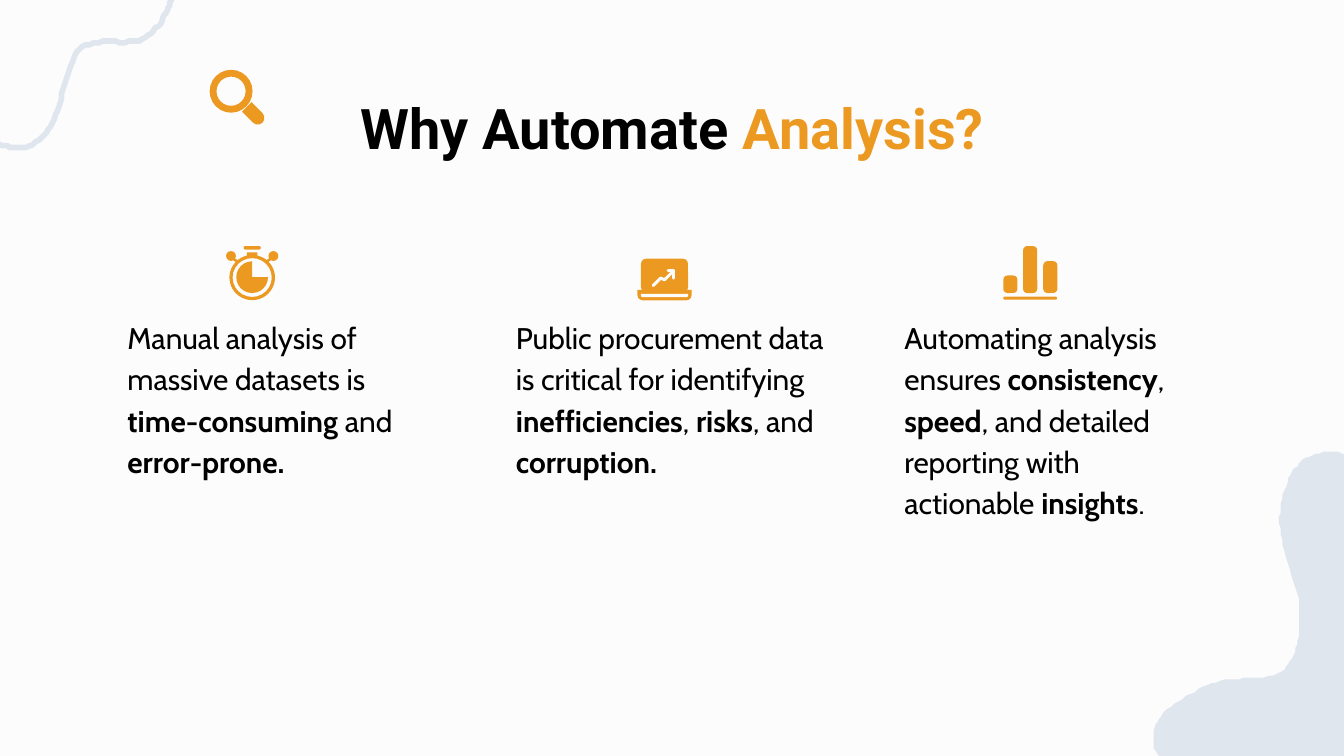
import pptx
import pptx.util
import pptx.dml.color
import pptx.enum.shapes
import pptx.enum.text
from pptx.oxml.ns import qn

Pt = pptx.util.Pt
RGBColor = pptx.dml.color.RGBColor
MSO = pptx.enum.shapes.MSO_SHAPE
ALIGN = pptx.enum.text.PP_ALIGN

PAPER = RGBColor(0xFD, 0xFC, 0xFD)
MIST = RGBColor(0xDF, 0xE6, 0xEE)
ORANGE = RGBColor(0xEB, 0x99, 0x21)
BLACK = RGBColor(0, 0, 0)

TITLE = [("Why Automate ", True, BLACK), ("Analysis?", True, ORANGE)]
COLUMNS = [
    [("Manual analysis of massive datasets is ", False), ("time-consuming", True),
     (" and ", False), ("error-prone.", True)],
    [("Public procurement data is critical for identifying ", False),
     ("inefficiencies", True), (", ", False), ("risks", True), (", and ", False),
     ("corruption.", True)],
    [("Automating analysis ensures ", False), ("consistency", True), (", ", False),
     ("speed", True), (", and detailed reporting with actionable ", False),
     ("insights", True), (".", False)],
]
COLUMN_LEFT, COLUMN_STEP = 61.2, 208.1

BLOB = [(630.7, 410.4),
        (616.3, 406.8), (616.3, 395.3), (619.2, 388.1),
        (622.1, 380.2), (637.2, 370.8), (648.7, 366.5),
        (659.5, 361.4), (679.7, 365.8), (687.6, 358.6),
        (695.5, 352.1), (696.2, 339.8), (696.2, 326.9),
        (695.5, 313.2), (684.7, 290.9), (685.4, 277.2),
        (686.2, 264.2), (691.2, 250.6), (698.4, 246.2),
        (705.6, 241.9), (720.7, 236.9), (727.9, 251.3),
        (735.8, 265.7), (740.9, 306.7), (743, 331.9),
        (744.5, 357.8), (745.2, 390.2), (738.7, 403.2),
        (732.2, 416.2), (722.2, 409), (704.2, 410.4),
        (686.2, 411.8), (644.4, 414), (630.7, 410.4)]
WAVE = [(-15.1, 61.9),
        (-9.4, 77.8), (0.7, 77.8), (7.9, 79.2),
        (15.1, 79.9), (21.6, 76.3), (27.4, 67.7),
        (33.1, 59), (34.6, 34.6), (42.5, 26.6),
        (51.1, 18.7), (68.4, 25.2), (76.3, 20.9),
        (85, 16.6), (90, 5.8), (91.4, 0.7),
        (92.2, -4.3), (93.6, -7.9), (83.5, -10.8),
        (74.2, -13), (51.1, -13.7), (33.1, -14.4),
        (15.1, -15.1), (-18, -27.4), (-25.9, -14.4),
        (-33.8, -1.4), (-20.9, 46.8), (-15.1, 61.9)]

ICONS = [
    (MSO.DONUT, 112.3, 37.4, 23, 23, 0.16, 0, ORANGE),
    (MSO.ROUND_2_SAME_RECTANGLE, 132.8, 55.5, 7.2, 12, 0.5, 135, ORANGE),
    (MSO.DONUT, 122.9, 136.6, 24.4, 24.2, 0.07, 0, ORANGE),
    (MSO.PIE, 126.6, 140, 17, 17, None, 0, ORANGE),
    (MSO.ROUNDED_RECTANGLE, 130.5, 131.8, 9.2, 1.9, 0.5, 0, ORANGE),
    (MSO.RECTANGLE, 132.3, 135.2, 5.6, 2, None, 0, ORANGE),
    (MSO.OVAL, 121.1, 134.5, 5.3, 5.3, None, 0, ORANGE),
    (MSO.OVAL, 143.8, 134.5, 5.3, 5.3, None, 0, ORANGE),
    (MSO.ROUNDED_RECTANGLE, 343.4, 138.6, 25.2, 18, 0.15, 0, ORANGE),
    (MSO.ROUND_2_SAME_RECTANGLE, 341.5, 155.3, 29, 5.6, 0.5, 180, ORANGE),
    (MSO.ROUND_2_SAME_RECTANGLE, 343.4, 157.4, 25.2, 1.8, 0.5, 180, PAPER),
    (MSO.ROUNDED_RECTANGLE, 537.5, 158.9, 28.8, 1.7, 0.5, 0, ORANGE),
    (MSO.ROUNDED_RECTANGLE, 537.5, 147.6, 7.6, 9.4, 0.3, 0, ORANGE),
    (MSO.ROUNDED_RECTANGLE, 548.1, 131.8, 7.6, 25.2, 0.3, 0, ORANGE),
    (MSO.ROUNDED_RECTANGLE, 558.9, 139.9, 7.6, 17.1, 0.3, 0, ORANGE),
]
STROKES = [
    ([(349.9, 152.6), (353.5, 148.7), (355.5, 150.5), (361, 145)], PAPER, 1.6),
    ([(357.6, 145), (361.3, 145), (361.3, 148.9)], PAPER, 1.6),
    ([(124.2, 137.5), (127.2, 140.3)], ORANGE, 1.4),
    ([(146, 137.5), (143, 140.3)], ORANGE, 1.4),
]


def curve(points, steps=16):
    out = [points[0]]
    for i in range(0, len(points) - 1, 3):
        a, b, c, d = points[i:i + 4]
        for k in range(1, steps + 1):
            t = k / steps
            u = 1 - t
            out.append(tuple(u**3 * a[j] + 3 * u * u * t * b[j]
                             + 3 * u * t * t * c[j] + t**3 * d[j] for j in (0, 1)))
    return out


def paint(sp, fill=None, line=None, width=0):
    sp.shadow.inherit = False
    if fill is None:
        sp.fill.background()
    else:
        sp.fill.solid()
        sp.fill.fore_color.rgb = fill
    if line is None:
        sp.line.fill.background()
    else:
        sp.line.color.rgb = line
        sp.line.width = Pt(width)
        sp.line._get_or_add_ln().set("cap", "rnd")


def add_path(s, points, close, **style):
    fb = s.shapes.build_freeform(*points[0], scale=float(Pt(1)))
    fb.add_line_segments(points[1:], close=close)
    paint(fb.convert_to_shape(), **style)


def add_text(s, box, runs, font, size, align):
    tf = s.shapes.add_textbox(*map(Pt, box)).text_frame
    tf.word_wrap = True
    tf.margin_left = tf.margin_right = tf.margin_top = tf.margin_bottom = Pt(7.2)
    p = tf.paragraphs[0]
    p.alignment = align
    p.line_spacing = 1.15
    for text, bold, *color in runs:
        r = p.add_run()
        r.text = text
        r.font.name = font
        r.font.size = Pt(size)
        r.font.bold = bold
        r.font.color.rgb = color[0] if color else BLACK


def main():
    prs = pptx.Presentation()
    prs.slide_width, prs.slide_height = Pt(720), Pt(405)
    s = prs.slides.add_slide(prs.slide_layouts[6])
    s.background.fill.solid()
    s.background.fill.fore_color.rgb = PAPER

    add_path(s, curve(BLOB), True, fill=MIST)
    add_path(s, curve(WAVE), True, line=MIST, width=3)

    add_text(s, (56.2, 37.4, 607.7, 54.7), TITLE, "Roboto", 30, ALIGN.CENTER)
    for i, runs in enumerate(COLUMNS):
        box = (COLUMN_LEFT + i * COLUMN_STEP, 161.3, 181.4, 188.6)
        add_text(s, box, runs, "Cabin", 16, ALIGN.LEFT)

    for kind, x, y, w, h, adjust, turn, color in ICONS:
        sp = s.shapes.add_shape(kind, Pt(x), Pt(y), Pt(w), Pt(h))
        if adjust is not None:
            sp.adjustments[0] = adjust
        sp.rotation = turn
        paint(sp, fill=color)
    for points, color, width in STROKES:
        add_path(s, points, False, line=color, width=width)

    prs.save("out.pptx")


if __name__ == "__main__":
    main()
